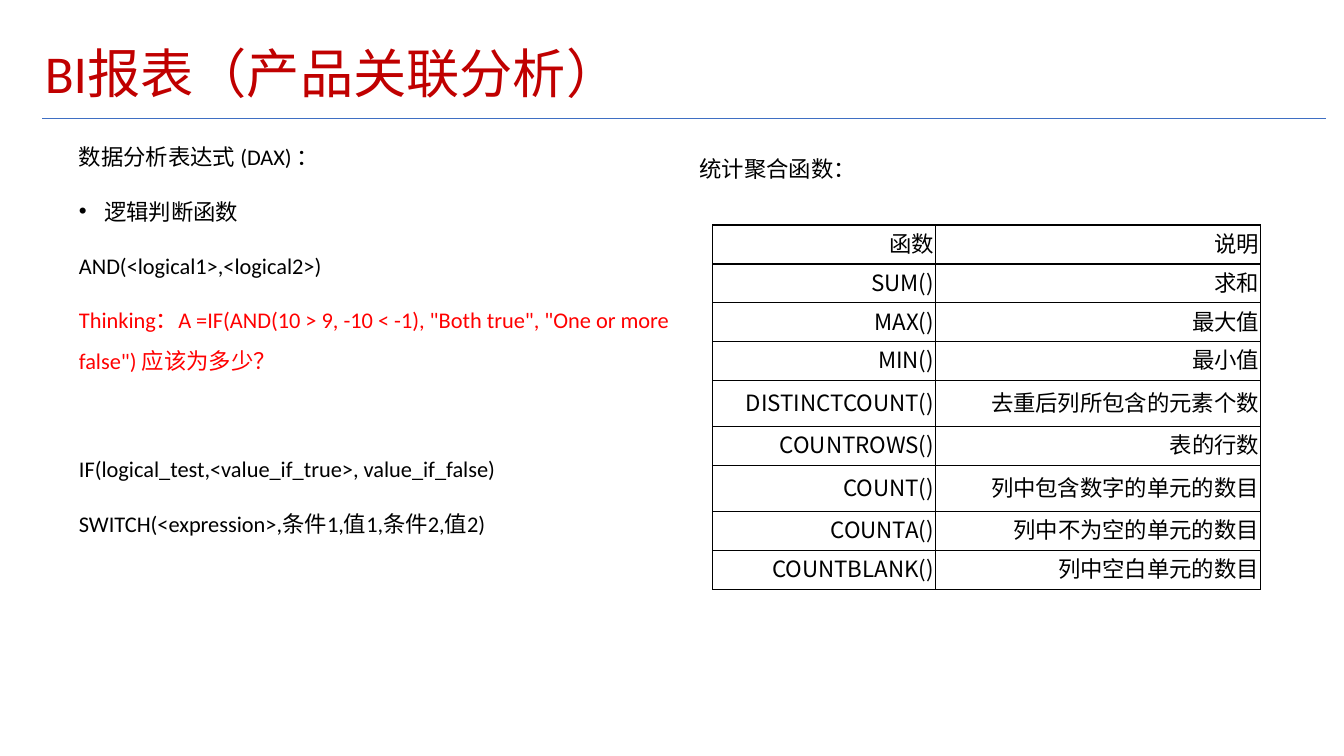
from lxml import etree
from pptx import Presentation
from pptx.dml.color import RGBColor
from pptx.enum.shapes import MSO_CONNECTOR
from pptx.enum.text import MSO_ANCHOR, PP_ALIGN
from pptx.oxml.ns import qn
from pptx.util import Cm, Pt

STRAIGHT = MSO_CONNECTOR.STRAIGHT
MIDDLE = MSO_ANCHOR.MIDDLE
TOP = MSO_ANCHOR.TOP
RIGHT = PP_ALIGN.RIGHT
BLACK = RGBColor(0x00, 0x00, 0x00)
RED = RGBColor(0xFF, 0x00, 0x00)
DARK_RED = RGBColor(0xC0, 0x00, 0x00)
BLUE = RGBColor(0x3F, 0x6F, 0xC3)
CJK_FONT = "Noto Sans CJK SC"


def set_font(paragraph, name, size, color):
    paragraph.font.name = name
    paragraph.font.size = Pt(size)
    paragraph.font.color.rgb = color
    properties = paragraph._p.pPr.find(qn("a:defRPr"))
    etree.SubElement(properties, qn("a:ea"), typeface=CJK_FONT)


def add_text_frame(slide, left, top, width, height, anchor):
    shape = slide.shapes.add_textbox(Cm(left), Cm(top), Cm(width), Cm(height))
    frame = shape.text_frame
    frame.word_wrap = True
    frame.vertical_anchor = anchor
    frame.margin_left = frame.margin_right = Cm(0.13)
    frame.margin_top = frame.margin_bottom = Cm(0.13)
    return frame


presentation = Presentation()
presentation.slide_width = Cm(33.87)
presentation.slide_height = Cm(19.05)
slide = presentation.slides.add_slide(presentation.slide_layouts[6])

title_line = slide.shapes.add_connector(STRAIGHT, Cm(1.07), Cm(2.98), Cm(33.42), Cm(2.98))
title_line.line.color.rgb = BLUE
title_line.line.width = Pt(0.75)
etree.SubElement(title_line._element.spPr, qn("a:effectLst"))

title = add_text_frame(slide, 1, 1.02, 28.27, 1.8, MIDDLE).paragraphs[0]
title.text = "BI报表（产品关联分析）"
title.line_spacing = 0.9
set_font(title, "Calibri", 38, DARK_RED)

expressions = [
    ("数据分析表达式 (DAX) ：", BLACK, 0),
    ("逻辑判断函数", BLACK, 10),
    ("AND(<logical1>,<logical2>)", BLACK, 10),
    ('Thinking：A =IF(AND(10 > 9, -10 < -1), "Both true", "One or more false") 应该为多少？', RED, 10),
    ("IF(logical_test,<value_if_true>, value_if_false)", BLACK, 49),
    ("SWITCH(<expression>,条件1,值1,条件2,值2)", BLACK, 10),
]
expression_frame = add_text_frame(slide, 1.86, 3.15, 15.21, 13.84, TOP)
for index, (text, color, space) in enumerate(expressions):
    paragraph = expression_frame.add_paragraph() if index else expression_frame.paragraphs[0]
    paragraph.text = text
    paragraph.line_spacing = 1.5
    paragraph.space_before = Pt(space)
    if text == "逻辑判断函数":
        properties = paragraph._p.get_or_add_pPr()
        properties.set("marL", str(Cm(0.64)))
        properties.set("indent", str(-Cm(0.64)))
        etree.SubElement(properties, qn("a:buFont"), typeface="Arial")
        etree.SubElement(properties, qn("a:buChar"), char="•")
    set_font(paragraph, "Calibri", 16, color)

heading = add_text_frame(slide, 17.5, 3.43, 15.21, 2.06, TOP).paragraphs[0]
heading.text = "统计聚合函数："
heading.line_spacing = 1.5
set_font(heading, "Calibri", 16, BLACK)

functions = [
    ("函数", "说明"),
    ("SUM()", "求和"),
    ("MAX()", "最大值"),
    ("MIN()", "最小值"),
    ("DISTINCTCOUNT()", "去重后列所包含的元素个数"),
    ("COUNTROWS()", "表的行数"),
    ("COUNT()", "列中包含数字的单元的数目"),
    ("COUNTA()", "列中不为空的单元的数目"),
    ("COUNTBLANK()", "列中空白单元的数目"),
]
tall_rows = ("DISTINCTCOUNT()", "COUNT()")
table = slide.shapes.add_table(len(functions), 2, Cm(17.96), Cm(5.67), Cm(13.8), Cm(9.2)).table
table.first_row = False
table.horz_banding = False
table.columns[0].width = Cm(5.61)
table.columns[1].width = Cm(8.19)
for row, texts in enumerate(functions):
    table.rows[row].height = Cm(1.16 if texts[0] in tall_rows else 0.98)
    for column, text in enumerate(texts):
        cell = table.cell(row, column)
        cell.margin_left = cell.margin_right = cell.margin_top = Cm(0.03)
        cell.margin_bottom = Cm(0.13)
        cell.vertical_anchor = MIDDLE
        properties = cell._tc.get_or_add_tcPr()
        for side in ("a:lnL", "a:lnR", "a:lnT", "a:lnB"):
            border = etree.SubElement(properties, qn(side), w=str(Pt(1)))
            fill = etree.SubElement(border, qn("a:solidFill"))
            etree.SubElement(fill, qn("a:srgbClr"), val=str(BLACK))
        cell.fill.background()
        paragraph = cell.text_frame.paragraphs[0]
        paragraph.text = text
        paragraph.alignment = RIGHT
        set_font(paragraph, CJK_FONT if row and column == 0 else "Arial", 16, BLACK)

presentation.save("out.pptx")
